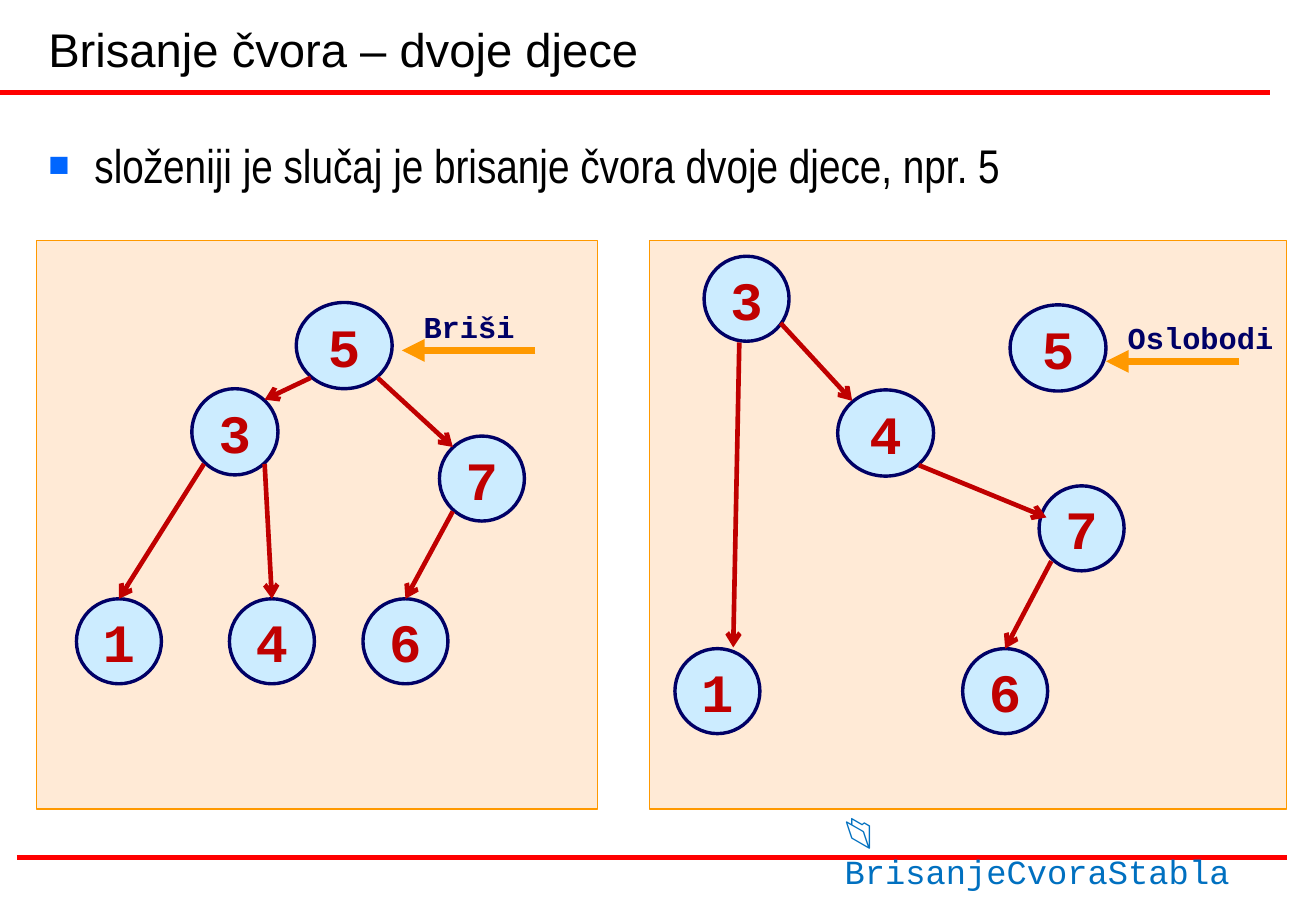
from lxml import etree
from pptx import Presentation
from pptx import util as u
from pptx.dml.color import RGBColor
from pptx.enum import shapes, text
from pptx.oxml import ns

RED = RGBColor(0xFF, 0x00, 0x00)
ORANGE = RGBColor(0xFF, 0x99, 0x00)
PEACH = RGBColor(0xFF, 0xCC, 0x99)
SKY = RGBColor(0xCC, 0xEC, 0xFF)
NAVY = RGBColor(0x00, 0x00, 0x66)
CRIMSON = RGBColor(0xC0, 0x00, 0x00)
BLUE = RGBColor(0x00, 0x70, 0xC0)
BULLET = RGBColor(0x00, 0x66, 0xFF)
BLACK = RGBColor(0x00, 0x00, 0x00)

TITLE = dict(size=u.Pt(28), name="Arial", bold=False)
BODY = dict(size=u.Pt(28), name="Arial Narrow", bold=False)
KEY = dict(size=u.Pt(32), name="Courier New", bold=True)
LABEL = dict(size=u.Pt(18), name="Courier New", bold=True)
ICON = dict(size=u.Pt(20), name="Arial", bold=False)
FILE = dict(size=u.Pt(20), name="Courier New", bold=False)

FRAME = dict(word_wrap=True, vertical_anchor=text.MSO_ANCHOR.TOP,
             margin_left=u.Inches(0.1), margin_right=u.Inches(0.1),
             margin_top=u.Inches(0.05), margin_bottom=u.Inches(0.05))
FIT = dict(auto_size=text.MSO_AUTO_SIZE.SHAPE_TO_FIT_TEXT)


def put(target, values):
    for name, value in values.items():
        setattr(target, name, value)


def sub(parent, tag, **attrs):
    return etree.SubElement(parent, ns.qn(tag), attrs)


class TreeSlide:
    cell = 0.1
    cols, rows = 108.4, 75

    def __init__(self):
        self.prs = Presentation()
        put(self.prs, dict(slide_width=self.at(self.cols), slide_height=self.at(self.rows)))
        self.s = self.prs.slides.add_slide(self.prs.slide_layouts[6])

    def at(self, cells):
        return u.Inches(cells * self.cell)

    def box(self, *place):
        return [self.at(v) for v in place]

    def line(self, start, end, color, width, head=None):
        c = self.s.shapes.add_connector(shapes.MSO_CONNECTOR.STRAIGHT, *self.box(*start, *end))
        c.line.color.rgb = color
        c.line.width = u.Pt(width)
        spPr = c._element.spPr
        if head:
            sub(spPr.get_or_add_ln(), "a:tailEnd", type=head)
        sub(spPr, "a:effectLst")
        return c

    def shape(self, kind, place, fill, outline, width):
        sp = self.s.shapes.add_shape(kind, *self.box(*place))
        sp.shadow.inherit = False
        sp.fill.solid()
        sp.fill.fore_color.rgb = fill
        sp.line.color.rgb = outline
        sp.line.width = u.Pt(width)
        return sp

    def panel(self, place):
        sp = self.shape(shapes.MSO_SHAPE.RECTANGLE, place, PEACH, ORANGE, 0.75)
        sub(sp._element.spPr.find(".//" + ns.qn("a:srgbClr")), "a:alpha", val="40000")

    def set_text(self, sp, runs, color, **frame):
        tf = sp.text_frame
        put(tf, {**FRAME, **frame})
        p = tf.paragraphs[0]
        for words, style in runs:
            r = p.add_run()
            r.text = words
            put(r.font, style)
            r.font.color.rgb = color
        return p

    def words(self, place, runs, color, **frame):
        return self.set_text(self.s.shapes.add_textbox(*self.box(*place)), runs, color, **frame)

    def bullet(self, place, words):
        p = self.words(place, [(words, BODY)], BLACK)
        pPr = p._p.get_or_add_pPr()
        pPr.set("marL", str(u.Inches(0.38)))
        pPr.set("indent", str(-u.Inches(0.38)))
        sub(sub(pPr, "a:buClr"), "a:srgbClr", val=str(BULLET))
        sub(pPr, "a:buSzPct", val="75000")
        sub(pPr, "a:buFont", typeface="Arial")
        sub(pPr, "a:buChar", char="■")

    def node(self, key, left, top, width=7, height=7):
        sp = self.shape(shapes.MSO_SHAPE.OVAL, (left, top, width, height), SKY, NAVY, 2)
        p = self.set_text(sp, [(key, KEY)], CRIMSON, word_wrap=False,
                          vertical_anchor=text.MSO_ANCHOR.MIDDLE)
        p.alignment = text.PP_ALIGN.CENTER
        return sp

    def tree(self, nodes, edges):
        drawn = {n[0]: self.node(*n) for n in nodes}
        for start, end in edges:
            to_top = end in drawn
            c = self.line(start, start if to_top else end, CRIMSON, 2.75, "arrow")
            if to_top:
                c.end_connect(drawn[end], 0)

    def action(self, words, left, top, width):
        y = top + 3.95
        self.line((left + 10.2, y), (left - 0.8, y), ORANGE, 4.5, "triangle")
        self.words((left, top, width, 4), [(words, LABEL)], NAVY, **FIT)


BEFORE = dict(
    nodes=[("5", 24.4, 24.9, 7.9, 7.1), ("3", 15.8, 32, 7.1, 7.1), ("7", 36.2, 35.9),
           ("1", 6.3, 49.3), ("4", 18.9, 49.3), ("6", 29.9, 49.3)],
    edges=[((31.1, 31.1), (37.3, 36.8)), ((25.6, 31.1), (21.8, 32.9)),
           ((16.8, 38.2), "1"), ((21.8, 38.2), "4"), ((37.3, 42.1), "6")])
AFTER = dict(
    nodes=[("3", 58, 21.1), ("5", 83.2, 25.1, 7.9, 7.1), ("4", 69, 32.1, 7.9, 7.1),
           ("7", 85.6, 40), ("1", 55.6, 53.4), ("6", 79.3, 53.4)],
    edges=[((64.3, 26.6), (70.2, 33)), ((75.7, 38.3), (86.2, 42.6)),
           ((60.9, 28.2), (60.4, 53.3)), ((86.6, 46.2), "6")])


def main():
    d = TreeSlide()
    for left, y in ((0, 7.6), (1.4, 70.6)):
        d.line((left, y), (left + 104.6, y), RED, 3)
    for left, width in ((3, 46.2), (53.5, 52.5)):
        d.panel((left, 19.8, width, 46.8))
    d.bullet((3, 10.7, 102.4, 58.3), "složeniji je slučaj je brisanje čvora dvoje djece, npr. 5")
    d.words((3, 0, 95.7, 6.8), [("Brisanje čvora – dvoje djece", TITLE)], BLACK,
            vertical_anchor=text.MSO_ANCHOR.BOTTOM)
    d.tree(**BEFORE)
    d.tree(**AFTER)
    d.action("Briši", 33.9, 24.9, 10.9)
    d.action("Oslobodi", 91.9, 25.8, 16.8)
    d.words((68.6, 66.2, 36.4, 4.4), [("📂", ICON), (" BrisanjeCvoraStabla", FILE)], BLUE, **FIT)
    d.prs.save("out.pptx")


if __name__ == "__main__":
    main()
